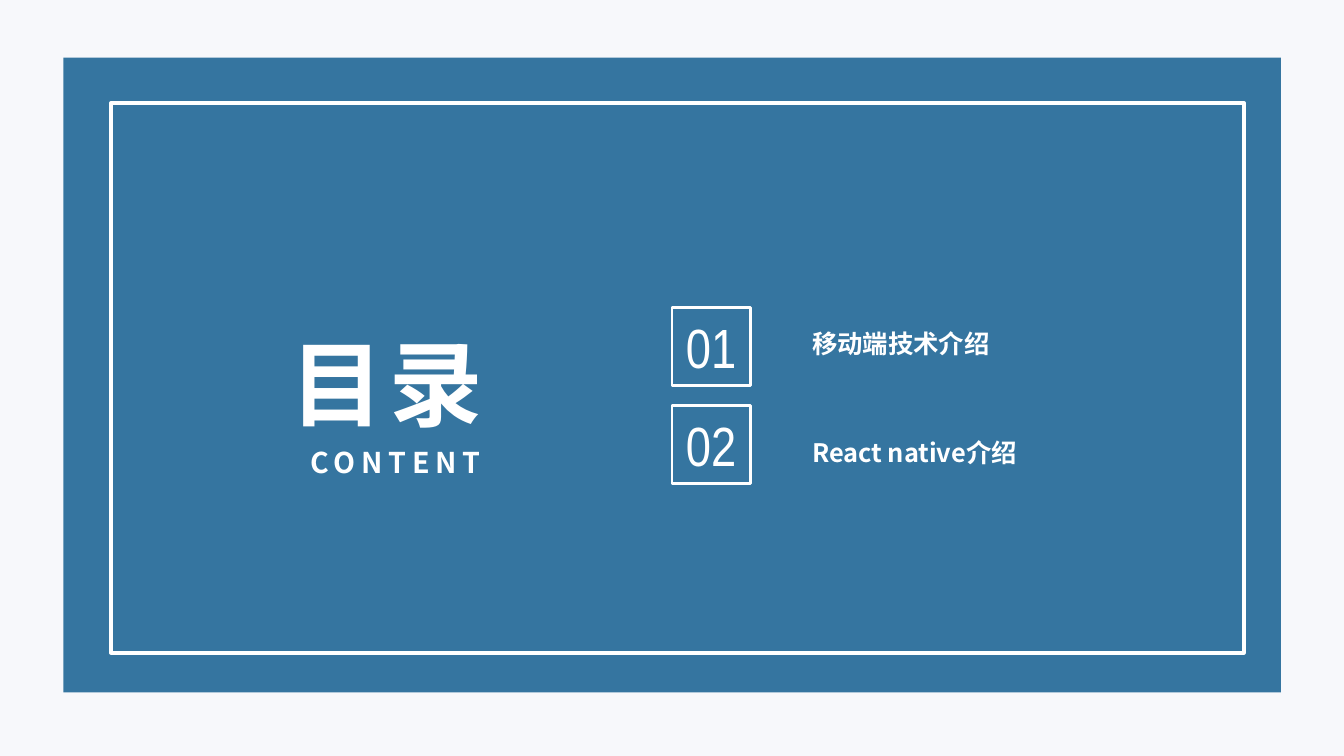
from lxml import etree
from pptx import Presentation
from pptx.dml.color import RGBColor
from pptx.enum import shapes as s, text as t
from pptx.oxml import ns
from pptx.util import Cm, Pt

# Content
HEADING, SUBHEADING = "目录", "CONTENT"
TOPICS = ["移动端技术介绍", "React native介绍"]

# Formats
WHITE, PALE, BLUE = "FFFFFF", "F7F8FB", "115D8F"
SANS, NARROW = "Noto Sans CJK SC", "Arial Narrow"
HEADING_FONT = {"name": SANS, "size": Pt(50), "bold": True}
SUBHEADING_FONT = {"name": SANS, "size": Pt(15.3), "bold": True}
NUMBER_FONT = {"name": NARROW, "size": Pt(29.6), "bold": False}
TOPIC_FONT = {"name": SANS, "size": Pt(13.6), "bold": True}
TOPIC_FRAME = {"margin_left": Cm(1), "margin_right": 0, "margin_top": 0,
               "margin_bottom": 0, "vertical_anchor": t.MSO_ANCHOR.BOTTOM}

# Layout in cm: left, top, width, height
WIDTH, HEIGHT = 25.4, 14.29
PANEL = (1.2, 1.09, 23.01, 12)
BORDER = (2.1, 1.95, 21.41, 10.39)
HEADING_BOX = (4.91, 6.05, 4.47, 2.57)
SUBHEADING_BOX = (5.55, 8.28, 3.78, 0.76)
NUMBER_LEFT, NUMBER_TOP, NUMBER_SIDE, NUMBER_STEP = 12.7, 5.81, 1.48, 1.85
TOPIC_LEFT, TOPIC_TOP, TOPIC_STEP = 14.35, 6.27, 2.05
TOPIC_SIZE = (8.26, 0.51)


def color(hex_code):
    return RGBColor.from_string(hex_code)


def add_block(slide, box, fill=None, alpha=None, line=None,
              kind=s.MSO_SHAPE.RECTANGLE):
    block = slide.shapes.add_shape(kind, *map(Cm, box))
    block.shadow.inherit = False
    if fill:
        block.fill.solid()
        block.fill.fore_color.rgb = color(fill)
    else:
        block.fill.background()
    if alpha:
        tint = block.fill._xPr.find(".//" + ns.qn("a:srgbClr"))
        etree.SubElement(tint, ns.qn("a:alpha"), val=str(alpha * 1000))
    if line:
        block.line.color.rgb = color(WHITE)
        block.line.width = Pt(line)
    else:
        block.line.fill.background()
    return block


def write(holder, words, font, align, wrap=False, spacing=None, frame=None):
    text_frame = holder.text_frame
    text_frame.word_wrap = wrap
    for name, value in (frame or {}).items():
        setattr(text_frame, name, value)
    paragraph = text_frame.paragraphs[0]
    paragraph.alignment = align
    run = paragraph.add_run()
    run.text = words
    for name, value in font.items():
        setattr(run.font, name, value)
    run.font.color.rgb = color(WHITE)
    # East Asian typeface and letter spacing
    properties = run._r.get_or_add_rPr()
    etree.SubElement(properties, ns.qn("a:ea"), typeface=font["name"])
    if spacing:
        properties.set("spc", str(spacing * 100))


def add_text(slide, box, *args, **options):
    write(slide.shapes.add_textbox(*map(Cm, box)), *args, **options)


def main():
    deck = Presentation()
    deck.slide_width, deck.slide_height = Cm(WIDTH), Cm(HEIGHT)
    slide = deck.slides.add_slide(deck.slide_layouts[6])

    # Background and panel
    slide.background.fill.solid()
    slide.background.fill.fore_color.rgb = color(WHITE)
    add_block(slide, (0, 0, WIDTH, HEIGHT), fill=PALE)
    add_block(slide, PANEL, fill=BLUE, alpha=84)

    # Numbered topics
    for i, topic in enumerate(TOPICS):
        number = add_block(
            slide, (NUMBER_LEFT, NUMBER_TOP + i * NUMBER_STEP, NUMBER_SIDE, NUMBER_SIDE),
            line=1.5, kind=s.MSO_SHAPE.ROUNDED_RECTANGLE)
        number.adjustments[0] = 0
        write(number, f"{i + 1:02}", NUMBER_FONT, t.PP_ALIGN.CENTER,
              frame={"vertical_anchor": t.MSO_ANCHOR.MIDDLE})
        add_text(slide, (TOPIC_LEFT, TOPIC_TOP + i * TOPIC_STEP, *TOPIC_SIZE),
                 topic, TOPIC_FONT, t.PP_ALIGN.LEFT, frame=TOPIC_FRAME)

    # Heading
    add_text(slide, HEADING_BOX, HEADING, HEADING_FONT, t.PP_ALIGN.RIGHT,
             wrap=True, spacing=3)
    add_text(slide, SUBHEADING_BOX, SUBHEADING, SUBHEADING_FONT,
             t.PP_ALIGN.RIGHT, spacing=3, frame={"margin_left": 0})

    # Border
    add_block(slide, BORDER, line=2)

    deck.save("out.pptx")


if __name__ == "__main__":
    main()
